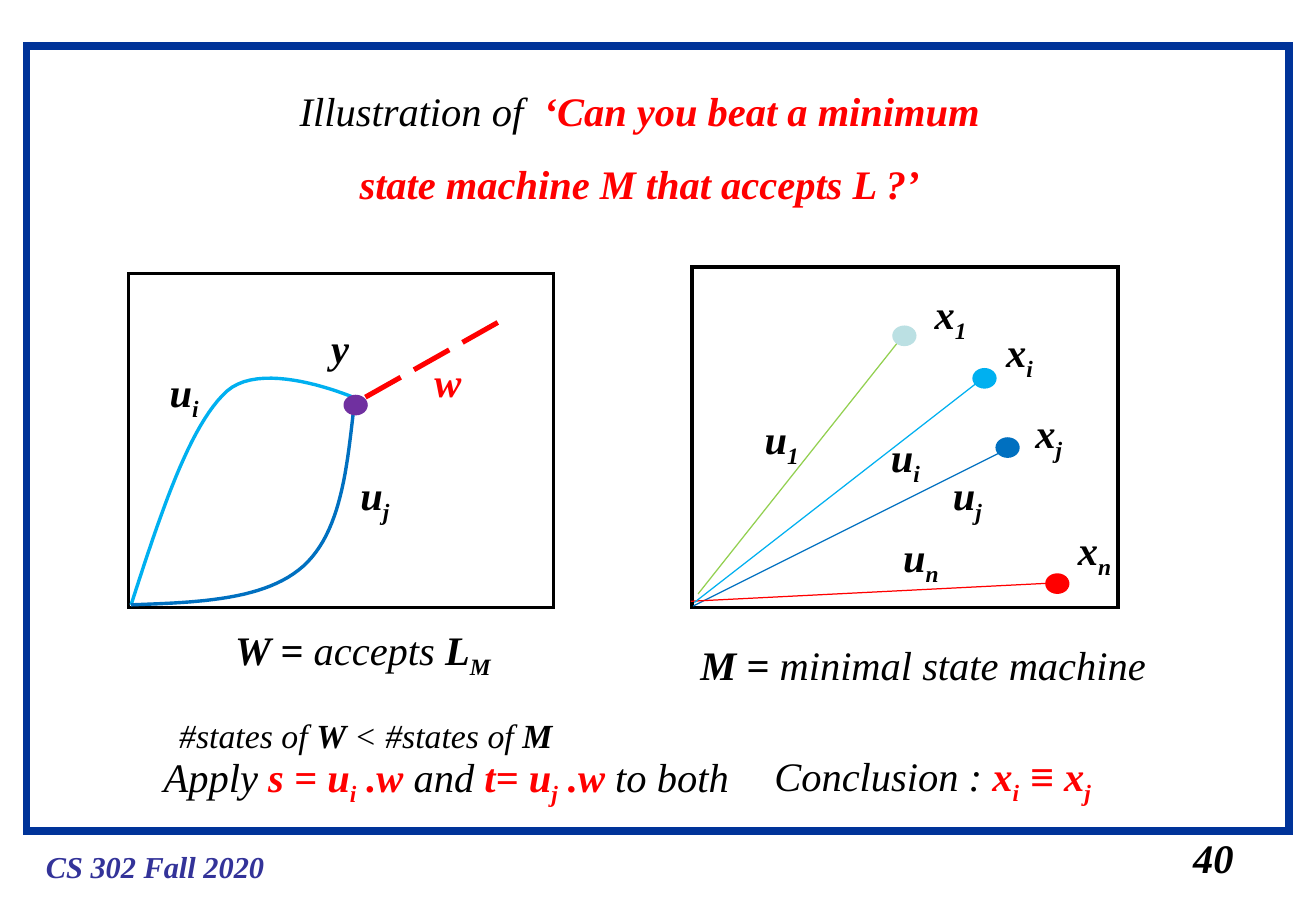
import lxml.etree
import pptx
import pptx.dml.color
import pptx.enum.dml
import pptx.enum.shapes
import pptx.enum.text
import pptx.oxml.ns
import pptx.util

cell = pptx.util.Inches(0.1)
wide, high = 108.4, 75
deck = pptx.Presentation()
deck.slide_width = int(wide * cell)
deck.slide_height = int(high * cell)
slide = deck.slides.add_slide(deck.slide_layouts[6])
items = slide.shapes
kind = pptx.enum.shapes.MSO_SHAPE
left = pptx.enum.text.PP_ALIGN.LEFT
mid = pptx.enum.text.PP_ALIGN.CENTER

black, red, navy = "000000", "FF0000", "003399"
sky, blue = "00B0F0", "0070C0"


def hue(fill, code):
    fill.solid()
    fill.fore_color.rgb = pptx.dml.color.RGBColor.from_string(code)


def put(paras, spot, size=24, color=black, align=left, space=None, wrap=False):
    box = items.add_textbox(*[int(v * cell) for v in spot])
    frame = box.text_frame
    frame.word_wrap = wrap
    frame.auto_size = pptx.enum.text.MSO_AUTO_SIZE.SHAPE_TO_FIT_TEXT
    for k, runs in enumerate(paras):
        para = frame.add_paragraph() if k else frame.paragraphs[0]
        para.alignment = align
        para.line_spacing = space
        for text, marks in runs:
            run = para.add_run()
            run.text = text
            font = run.font
            font.name = "Arial" if "a" in marks else "Times New Roman"
            font.size = pptx.util.Pt(20 if "t" in marks else size)
            font.italic = True
            font.bold = "b" in marks
            hue(font.fill, red if "r" in marks else color)
            if "s" in marks:
                run._r.get_or_add_rPr().set("baseline", "-25000")


for x, y, w, h, code, thick in [
    (2.2, 3.8, 104, 64.6, navy, 4.5),
    (57, 22, 35.1, 28, black, 2),
    (10.6, 22.5, 35, 27.5, black, 2),
]:
    box = items.add_shape(kind.RECTANGLE, *[int(v * cell) for v in (x, y, w, h)])
    box.shadow.inherit = False
    box.fill.background()
    hue(box.line.fill, code)
    box.line.width = pptx.util.Pt(thick)
    edge = box._element.spPr.find(pptx.oxml.ns.qn("a:ln"))
    lxml.etree.SubElement(edge, pptx.oxml.ns.qn("a:miter")).set("lim", "800000")

for ends, code, thick in [
    ((57.5, 48.9, 74.1, 28), "92D050", 0.75),
    ((57.1, 49.9, 82.5, 37.2), blue, 0.75),
    ((56.9, 49.5, 86.7, 48), red, 0.75),
    ((57.2, 49.6, 80.5, 31.5), sky, 0.75),
    ((30.1, 32.7, 41.8, 26.1), red, 3),
]:
    wire = items.add_connector(
        pptx.enum.shapes.MSO_CONNECTOR.STRAIGHT, *[int(v * cell) for v in ends]
    )
    hue(wire.line.fill, code)
    wire.line.width = pptx.util.Pt(thick)
    if thick == 3:
        wire.line.dash_style = pptx.enum.dml.MSO_LINE.LONG_DASH
    lxml.etree.SubElement(wire._element.spPr, pptx.oxml.ns.qn("a:effectLst"))

steps = 24
start = (10.8, 49.8)
for code, bends in [
    (sky, [[(13.2, 42.4), (15.6, 35), (18.7, 32.2)], [(21.9, 29.4), (29.8, 33), (29.8, 33)]]),
    (blue, [[(16.4, 49.6), (21.9, 49.4), (25, 46.6)], [(28.1, 43.8), (28.6, 38.5), (29.2, 33.1)]]),
]:
    dots = []
    a = start
    for b, c, d in bends:
        for n in range(1, steps + 1):
            t = n / steps
            s = 1 - t
            dots.append([
                int(cell * (s**3 * a[i] + 3 * s * s * t * b[i] + 3 * s * t * t * c[i] + t**3 * d[i]))
                for i in (0, 1)
            ])
        a = d
    pen = items.build_freeform(*[int(v * cell) for v in start])
    pen.add_line_segments(dots, close=False)
    curve = pen.convert_to_shape()
    curve.shadow.inherit = False
    curve.fill.background()
    hue(curve.line.fill, code)
    curve.line.width = pptx.util.Pt(2)

for x, y, code in [
    (73.5, 26.8, "BBE0E3"),
    (80.1, 30.3, sky),
    (82, 36, blue),
    (86.1, 47.2, red),
    (28.3, 32.5, "7030A0"),
]:
    dot = items.add_shape(kind.OVAL, *[int(v * cell) for v in (x, y, 2, 1.7)])
    dot.shadow.inherit = False
    hue(dot.fill, code)
    dot.line.fill.background()

for name, sub, x, y, w in [
    ("u", "1", 62, 33.6, 4.8),
    ("u", "i", 72.4, 35.1, 4.4),
    ("u", "j", 77.5, 38.2, 4.4),
    ("u", "n", 73.4, 43.3, 5),
    ("x", "1", 76, 23.3, 4.6),
    ("x", "i", 81.9, 26.4, 4.2),
    ("x", "j", 84.3, 33.1, 4.2),
    ("x", "n", 87.8, 42.7, 5),
    ("u", "i", 13, 29.7, 4.4),
    ("u", "j", 28.7, 38.2, 4.4),
]:
    put([[(name, "b"), (sub, "bs")]], (x, y, w, 5.6))

put([[("y", "b")]], (26.3, 26.1, 4.3, 5))
put([[("w", "br")]], (34.8, 28.9, 5, 5))

put(
    [[("Illustration of  ", ""),
      ("‘Can you beat a minimum state machine M that accepts L ?’", "br")]],
    (22.2, 4.6, 61, 13), align=mid, space=1.5, wrap=True,
)
put(
    [
        [("W = ", "b"), ("accepts ", ""), ("L", "b"), ("M", "bs")],
        [(" ", "bs"), ("#states of ", "t"), ("W ", "bt"), ("< #states of ", "t"), ("M", "bt")],
    ],
    (12.1, 48.7, 35.6, 14.7), align=mid, space=1.5, wrap=True,
)
put([[("M = ", "b"), ("minimal state machine", "")]], (56.7, 52.2, 39.5, 5))
put(
    [[("Apply ", ""), ("s = u", "br"), ("i", "brs"), (" .w ", "br"), ("and ", ""),
      ("t= u", "br"), ("j", "brs"), (" .w ", "br"), ("to both", "")]],
    (12.5, 61.4, 49.5, 5.6),
)
put(
    [[("Conclusion : ", ""), ("x", "br"), ("i", "brs"), (" ≡", "bra"),
      (" x", "br"), ("j", "brs")]],
    (62.8, 61.3, 29.2, 5.6),
)
put([[("CS 302 Fall 2020", "b")]], (2.8, 69.3, 20, 4), size=18, color="333399")
put([[("40", "b")]], (97.3, 68.1, 5.3, 5))

deck.save("out.pptx")
